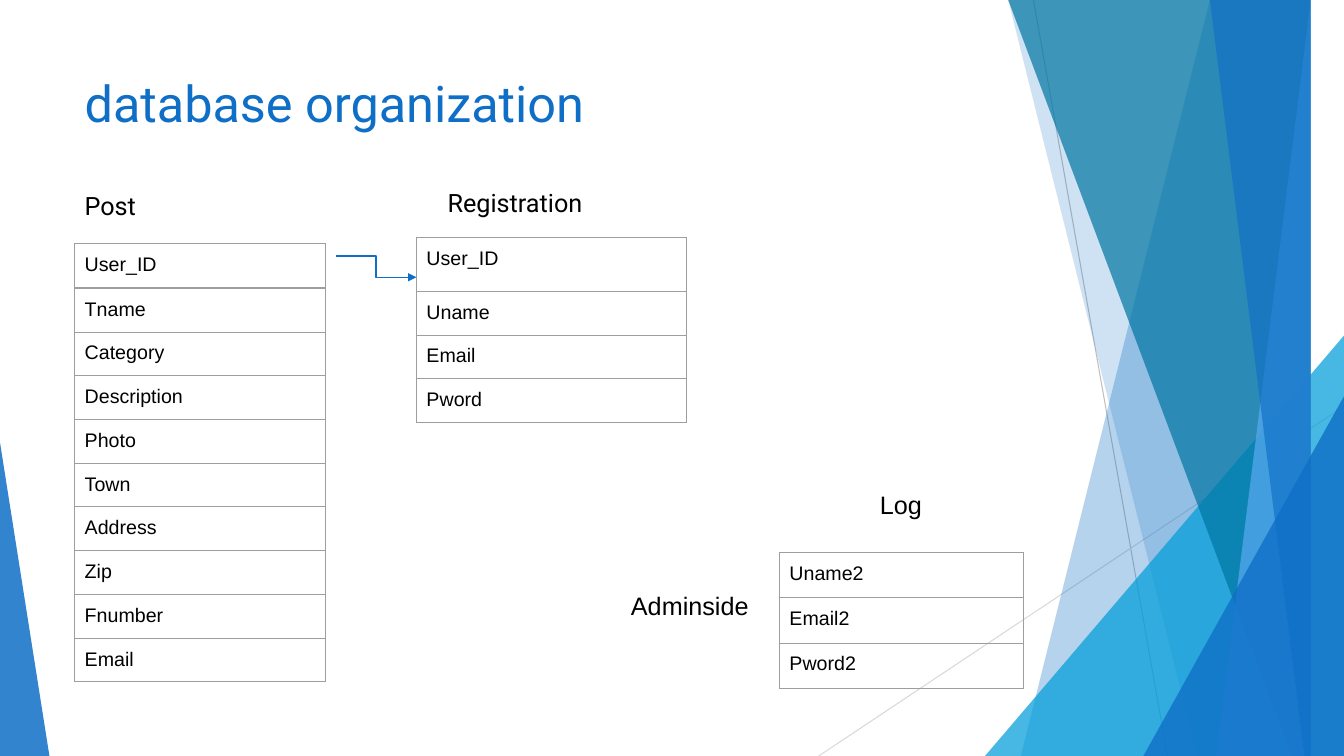
import pptx
import pptx.dml.color
import pptx.enum.shapes
import pptx.enum.text
import pptx.oxml.ns
import pptx.util
from lxml import etree

Inches = pptx.util.Inches
Pt = pptx.util.Pt
RGBColor = pptx.dml.color.RGBColor
PP_ALIGN = pptx.enum.text.PP_ALIGN
MSO_SHAPE = pptx.enum.shapes.MSO_SHAPE
MSO_CONNECTOR = pptx.enum.shapes.MSO_CONNECTOR
qn = pptx.oxml.ns.qn

BLUE = RGBColor(0x0F, 0x6F, 0xC6)
CYAN = RGBColor(0x00, 0x9D, 0xD9)
TEAL = RGBColor(0x00, 0x76, 0xA3)
SKY = RGBColor(0x59, 0xAA, 0xF2)
BLACK = RGBColor(0, 0, 0)
GREY = RGBColor(0xBF, 0xBF, 0xBF)
LIGHT_GREY = RGBColor(0xD9, 0xD9, 0xD9)
BORDER = "9E9E9E"

WIDTH, HEIGHT = 13.33, 7.5
ROW = 0.43


def style_decoration(shape, color, opacity):
    shape.shadow.inherit = False
    shape.fill.solid()
    shape.fill.fore_color.rgb = color
    shape.line.fill.background()
    fill_color = shape.element.spPr.find(qn("a:solidFill")).find(qn("a:srgbClr"))
    etree.SubElement(fill_color, qn("a:alpha")).set("val", str(opacity * 1000))


def add_band(slide, top_left, bottom_left, color, opacity):
    builder = slide.shapes.build_freeform(top_left, 0, scale=Inches(1))
    builder.add_line_segments([(WIDTH, 0), (WIDTH, HEIGHT), (bottom_left, HEIGHT)])
    style_decoration(builder.convert_to_shape(), color, opacity)


def add_corner(slide, left, top, width, apex, color, opacity):
    shape = slide.shapes.add_shape(
        MSO_SHAPE.ISOSCELES_TRIANGLE,
        Inches(left), Inches(top), Inches(width), Inches(HEIGHT - top))
    shape.adjustments[0] = apex
    style_decoration(shape, color, opacity)


def add_line(slide, kind, start, end, color, width):
    connector = slide.shapes.add_connector(
        kind, *(Inches(value) for value in start + end))
    connector.line.color.rgb = color
    connector.line.width = Pt(width)
    etree.SubElement(connector.element.spPr, qn("a:effectLst"))
    return connector


def add_link(slide, start, end):
    connector = add_line(slide, MSO_CONNECTOR.ELBOW, start, end, BLUE, 1)
    line = connector.element.spPr.find(qn("a:ln"))
    etree.SubElement(line, qn("a:tailEnd")).set("type", "triangle")


def format_text(text_frame, size, font, color):
    for paragraph in text_frame.paragraphs:
        for run in paragraph.runs:
            run.font.size = Pt(size)
            run.font.name = font
            run.font.color.rgb = color


def add_label(slide, text, left, top, width, font, alignment=PP_ALIGN.LEFT):
    box = slide.shapes.add_textbox(
        Inches(left), Inches(top), Inches(width), Inches(0.4))
    box.text_frame.word_wrap = True
    box.text_frame.text = text
    box.text_frame.paragraphs[0].alignment = alignment
    format_text(box.text_frame, 18, font, BLACK)


def add_borders(cell):
    properties = cell._tc.get_or_add_tcPr()
    for side in ("a:lnL", "a:lnR", "a:lnT", "a:lnB"):
        line = etree.SubElement(properties, qn(side))
        line.set("w", str(Pt(0.75)))
        fill = etree.SubElement(line, qn("a:solidFill"))
        etree.SubElement(fill, qn("a:srgbClr")).set("val", BORDER)


def add_field_table(slide, fields, left, top, width, row=ROW, first_row=None):
    heights = [first_row or row] + [row] * (len(fields) - 1)
    table = slide.shapes.add_table(
        len(fields), 1, Inches(left), Inches(top),
        Inches(width), Inches(sum(heights))).table
    table.first_row = False
    table.horz_banding = False
    for index, (field, height) in enumerate(zip(fields, heights)):
        table.rows[index].height = Inches(height)
        cell = table.cell(index, 0)
        cell.margin_left = cell.margin_right = Inches(0.1)
        cell.margin_top = cell.margin_bottom = Inches(0.1)
        add_borders(cell)
        cell.fill.background()
        cell.text_frame.text = field
        format_text(cell.text_frame, 14, "Arial", BLACK)


def add_title(slide, text):
    title = slide.shapes.title
    title.left, title.top = Inches(0.74), Inches(0.67)
    title.width, title.height = Inches(9.4), Inches(1.44)
    title.text_frame.text = text
    title.text_frame.vertical_anchor = pptx.enum.text.MSO_ANCHOR.TOP
    title.text_frame.paragraphs[0].alignment = PP_ALIGN.LEFT
    format_text(title.text_frame, 36, "Roboto", BLUE)


def add_backdrop(slide):
    straight = MSO_CONNECTOR.STRAIGHT
    add_line(slide, straight, (10.25, 0), (11.58, HEIGHT), GREY, 0.75)
    add_line(slide, straight, (WIDTH, 4.03), (8.12, HEIGHT), LIGHT_GREY, 0.75)
    add_band(slide, 12.28, 10.04, BLUE, 30)
    add_band(slide, 10.5, 11.83, BLUE, 20)
    add_corner(slide, 9.77, 3.33, 3.56, 1, CYAN, 72)
    add_band(slide, 10.21, 12.91, TEAL, 70)
    add_band(slide, 13.03, 11.92, SKY, 70)
    add_band(slide, 11.96, 13.18, BLUE, 65)
    add_corner(slide, 11.34, 3.93, 1.99, 1, BLUE, 80)
    add_corner(slide, 0, 4.39, 0.49, 0, BLUE, 85)


def main():
    presentation = pptx.Presentation()
    presentation.slide_width = Inches(WIDTH)
    presentation.slide_height = Inches(HEIGHT)
    slide = presentation.slides.add_slide(presentation.slide_layouts[5])

    add_backdrop(slide)
    add_title(slide, "database organization")

    add_label(slide, "Post", 0.74, 1.84, 2.49, "Roboto")
    add_field_table(slide, ["User_ID"], 0.74, 2.42, 2.49)
    add_field_table(
        slide,
        ["Tname", "Category", "Description", "Photo", "Town",
         "Address", "Zip", "Fnumber", "Email"],
        0.74, 2.86, 2.49)

    add_label(slide, "Registration", 4.34, 1.81, 2.49, "Roboto")
    add_field_table(slide, ["User_ID", "Uname", "Email", "Pword"],
                    4.13, 2.36, 2.68, first_row=0.53)
    add_link(slide, (3.33, 2.54), (4.13, 2.75))

    add_label(slide, "Adminside", 6.16, 5.81, 1.54, "Arial")
    add_label(slide, "Log", 7.69, 4.81, 2.49, "Arial", PP_ALIGN.CENTER)
    add_field_table(slide, ["Uname2", "Email2", "Pword2"],
                    7.73, 5.48, 2.42, row=0.45)

    presentation.save("out.pptx")


if __name__ == "__main__":
    main()
